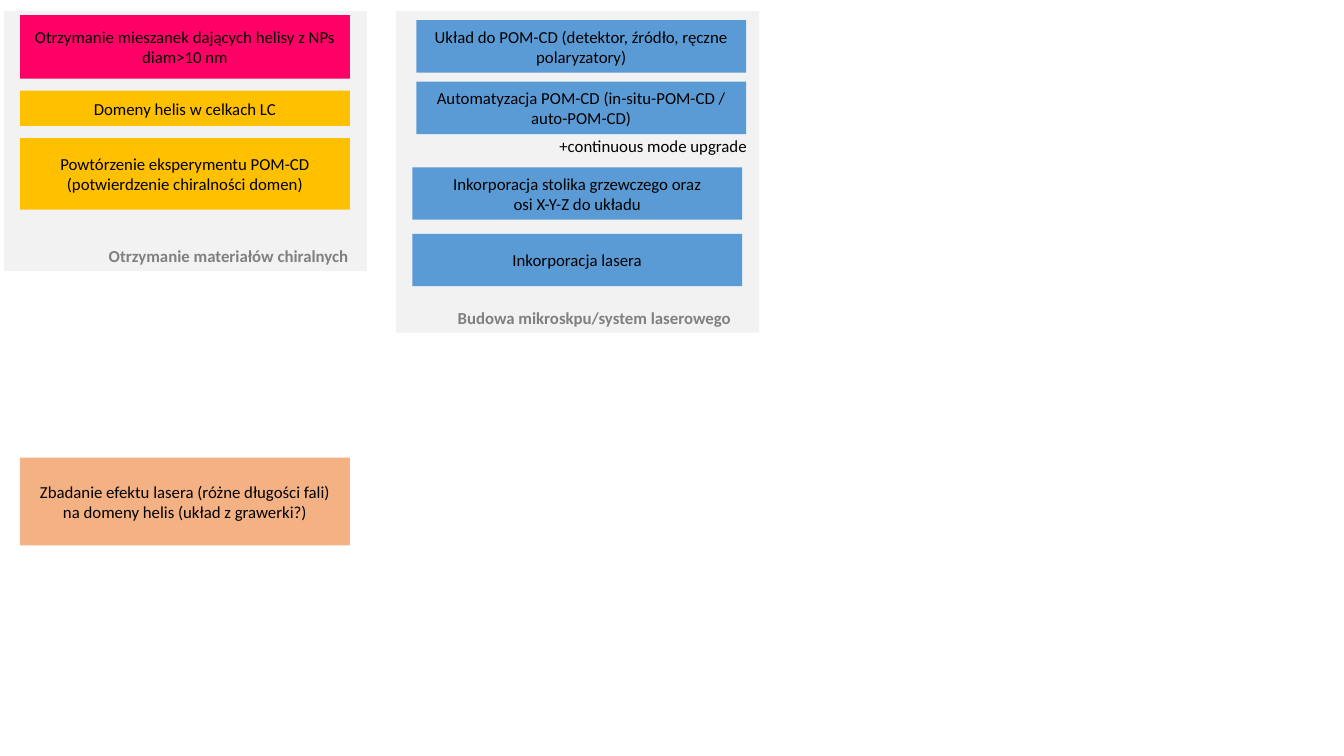
"""Builds a slide of project task boxes in two labelled panels."""
from copy import deepcopy

from pptx import Presentation
from pptx.dml.color import RGBColor
from pptx.enum.shapes import MSO_SHAPE
from pptx.enum.text import MSO_ANCHOR, MSO_AUTO_SIZE, PP_ALIGN
from pptx.oxml.ns import qn
from pptx.util import Inches, Pt

PINK, AMBER, BLUE, PEACH = "FF0066", "FFC000", "5B9BD5", "F4B183"
PANEL_FILL, LABEL_COLOR = "F2F2F2", "808080"
PANEL_TOP, PANEL_W, LABEL_H, BOX_W = 0.11, 3.6, 0.3, 3.27

PANELS = [
    (3.93, 3.19, 4.44, 3.09, "Budowa mikroskpu/system laserowego"),
    (0.04, 2.58, 0.98, 2.65, "Otrzymanie materiałów chiralnych"),
]
TASKS = [
    (0.2, 0.15, 0.63, PINK, "Otrzymanie mieszanek dających helisy z NPs diam>10 nm"),
    (0.2, 0.9, 0.35, AMBER, "Domeny helis w celkach LC"),
    (0.2, 1.37, 0.71, AMBER,
     "Powtórzenie eksperymentu POM-CD (potwierdzenie chiralności domen)"),
    (0.2, 4.54, 0.87, PEACH,
     "Zbadanie efektu lasera (różne długości fali) na domeny helis (układ z grawerki?)"),
    (4.13, 0.2, 0.52, BLUE, "Układ do POM-CD (detektor, źródło, ręczne polaryzatory)"),
    (4.13, 0.81, 0.52, BLUE, "Automatyzacja POM-CD (in-situ-POM-CD / auto-POM-CD)"),
    (4.09, 1.66, 0.52, BLUE, "Inkorporacja stolika grzewczego oraz\nosi X-Y-Z do układu"),
    (4.09, 2.32, 0.52, BLUE, "Inkorporacja lasera"),
]
NOTE = (5.45, 1.3, 2.44, "+continuous mode upgrade")


def rgb(value):
    return RGBColor.from_string(value)


def write(sp, text, color="000000", bold=None, align=None, anchor=None):
    tf = sp.text_frame
    tf.word_wrap = True
    if anchor is not None:
        tf.vertical_anchor = anchor
    p = tf.paragraphs[0]
    p.text = text
    p.alignment = align
    for r in p.runs:
        r.font.name, r.font.size, r.font.bold = "Calibri", Pt(12), bold
        r.font.color.rgb = rgb(color)
    for br in p._p.findall(qn("a:br")):
        br.insert(0, deepcopy(p.runs[0]._r.find(qn("a:rPr"))))


def add_box(shapes, x, y, w, h, fill):
    sp = shapes.add_shape(MSO_SHAPE.RECTANGLE, Inches(x), Inches(y), Inches(w), Inches(h))
    sp.shadow.inherit = False
    sp.fill.solid()
    sp.fill.fore_color.rgb = rgb(fill)
    sp.line.fill.background()
    return sp


def add_label(shapes, x, y, w, text, **fmt):
    sp = shapes.add_textbox(Inches(x), Inches(y), Inches(w), Inches(LABEL_H))
    write(sp, text, **fmt)
    sp.text_frame.auto_size = MSO_AUTO_SIZE.SHAPE_TO_FIT_TEXT


def main():
    prs = Presentation()
    prs.slide_width, prs.slide_height = Inches(13.33), Inches(7.5)
    s = prs.slides.add_slide(prs.slide_layouts[6])

    for x, h, label_x, label_w, label in PANELS:
        group = s.shapes.add_group_shape()
        add_box(group.shapes, x, PANEL_TOP, PANEL_W, h, PANEL_FILL)
        add_label(group.shapes, label_x, PANEL_TOP + h - LABEL_H, label_w, label,
                  color=LABEL_COLOR, bold=True)

    for x, y, h, fill, text in TASKS:
        sp = add_box(s.shapes, x, y, BOX_W, h, fill)
        write(sp, text, align=PP_ALIGN.CENTER, anchor=MSO_ANCHOR.MIDDLE)

    add_label(s.shapes, *NOTE)
    prs.save("out.pptx")


if __name__ == "__main__":
    main()
